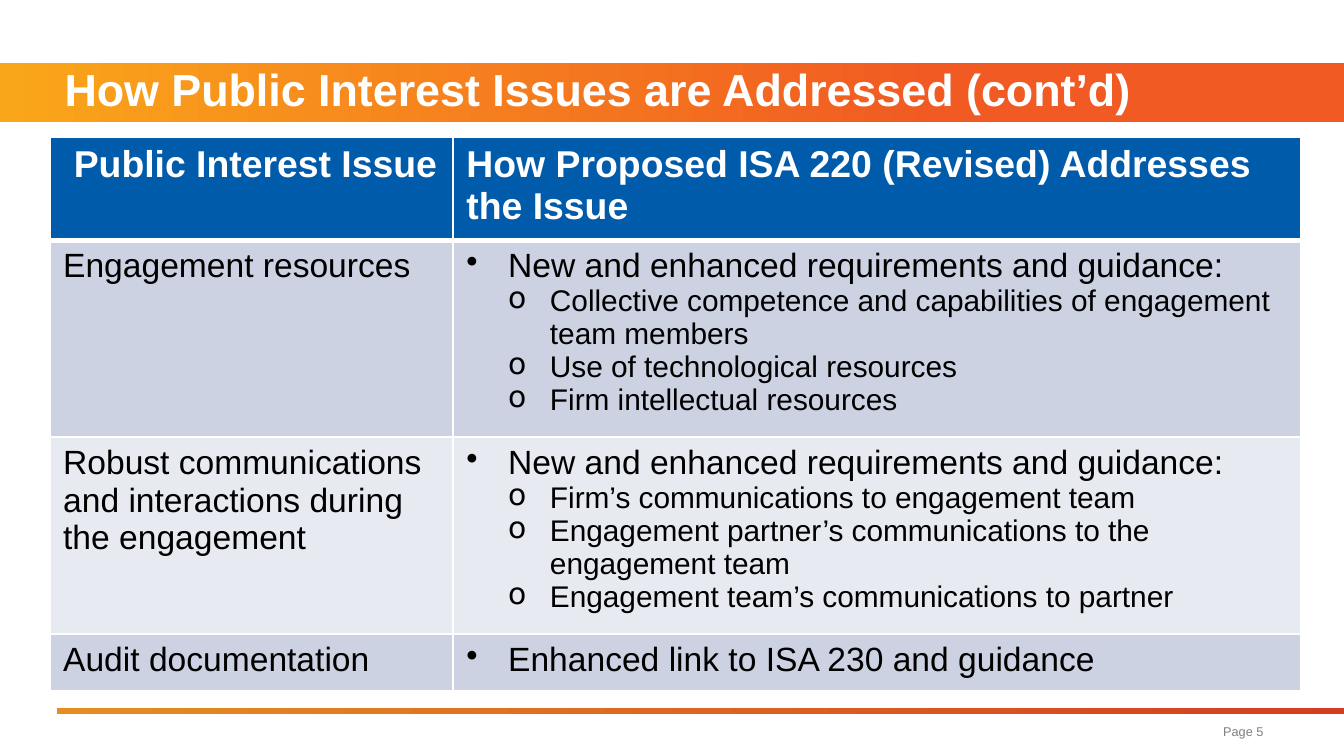
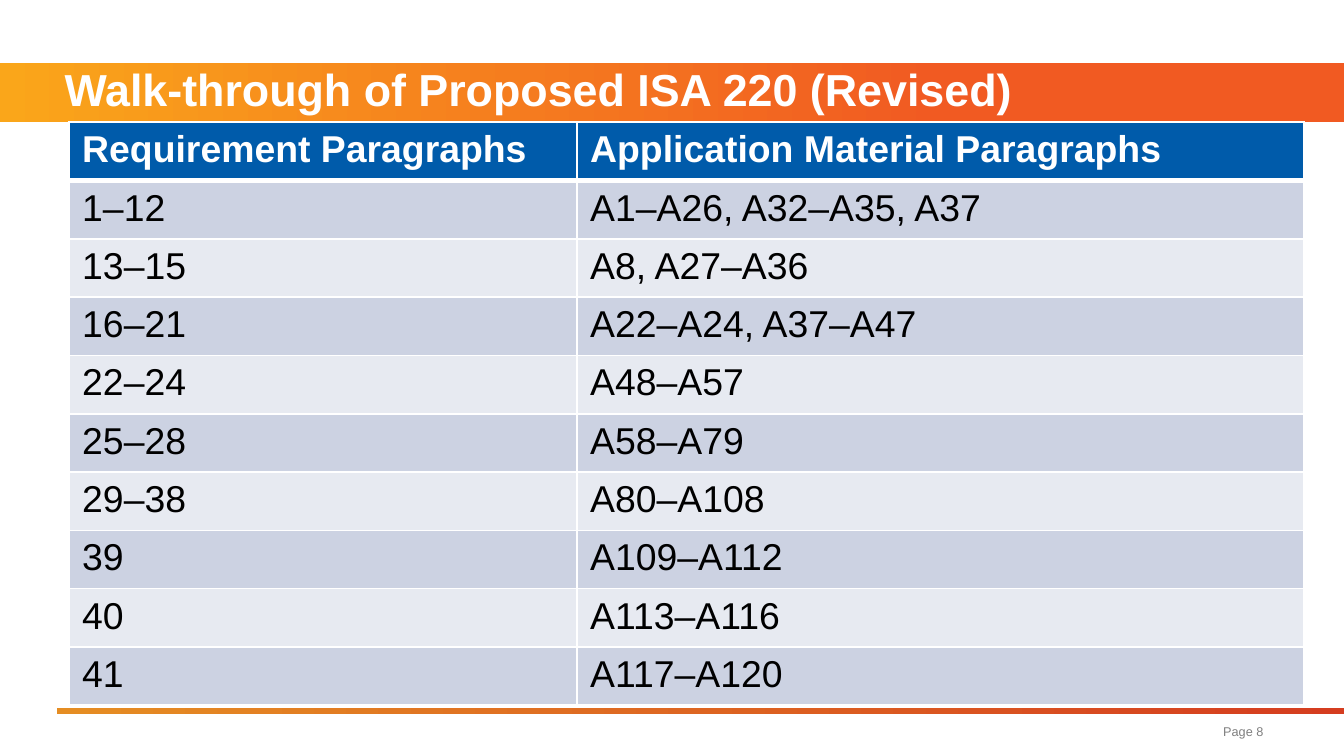
from lxml import etree
from pptx import Presentation
from pptx.dml.color import RGBColor
from pptx.enum.shapes import MSO_SHAPE
from pptx.enum.text import MSO_ANCHOR, PP_ALIGN
from pptx.oxml.ns import qn
from pptx.util import Cm, Pt

RECTANGLE = MSO_SHAPE.RECTANGLE
MIDDLE = MSO_ANCHOR.MIDDLE
LEFT, RIGHT = PP_ALIGN.LEFT, PP_ALIGN.RIGHT

FONT = "Arial"
WHITE = RGBColor(0xFF, 0xFF, 0xFF)
BLACK = RGBColor(0x00, 0x00, 0x00)
GRAY = RGBColor(0x80, 0x80, 0x80)
BLUE = RGBColor(0x00, 0x5B, 0xAA)
ROW_FILLS = (RGBColor(0xCC, 0xD2, 0xE2), RGBColor(0xE7, 0xEA, 0xF1))
BAND_STOPS = ((0, RGBColor(0xFA, 0xA6, 0x1A)), (0.7, RGBColor(0xF1, 0x5A, 0x22)))
RULE_STOPS = ((0, RGBColor(0xE5, 0x8D, 0x23)), (1, RGBColor(0xD5, 0x3D, 0x20)))

SLIDE_WIDTH, SLIDE_HEIGHT = 25.4, 14.29
BAND = (0, 1.19, SLIDE_WIDTH, 1.12)
RULE = (1.07, 13.39, SLIDE_WIDTH - 1.07, 0.1)
PAGE_BOX = (16.46, 13.56, 7.67, 0.64)
TITLE_INDENT = 0.97
BULLET_INDENT = 0.79
BULLETS = ("•", "o")
BULLET_SIZES = (18, 16)

GUIDANCE = "New and enhanced requirements and guidance:"

SLIDES = [
    {
        "title": "How Public Interest Issues are Addressed (cont’d)",
        "page": "Page 5",
        "position": (0.94, 2.59),
        "columns": (7.62, 16.02),
        "heights": (1.83, 3.46, 3.46, 1.07),
        "body_size": 18,
        "header_indents": (0.2, 0),
        "header": ("Public Interest Issue", "How Proposed ISA 220 (Revised) Addresses the Issue"),
        "rows": [
            ("Engagement resources", [
                (0, GUIDANCE),
                (1, "Collective competence and capabilities of engagement team members"),
                (1, "Use of technological resources"),
                (1, "Firm intellectual resources"),
            ]),
            ("Robust communications and interactions during the engagement", [
                (0, GUIDANCE),
                (1, "Firm’s communications to engagement team"),
                (1, "Engagement partner’s communications to the engagement team"),
                (1, "Engagement team’s communications to partner"),
            ]),
            ("Audit documentation", [(0, "Enhanced link to ISA 230 and guidance")]),
        ],
    },
    {
        "title": "Walk-through of Proposed ISA 220 (Revised)",
        "page": "Page 8",
        "position": (1.3, 2.31),
        "columns": (9.6, 13.74),
        "heights": (1.04,) * 10,
        "body_size": 20,
        "header_indents": (0, 0),
        "header": ("Requirement Paragraphs", "Application Material Paragraphs"),
        "rows": [
            ("1‒12", "A1‒A26, A32‒A35, A37"),
            ("13‒15", "A8, A27‒A36"),
            ("16‒21", "A22‒A24, A37‒A47"),
            ("22‒24", "A48‒A57"),
            ("25‒28", "A58‒A79"),
            ("29‒38", "A80‒A108"),
            ("39", "A109‒A112"),
            ("40", "A113‒A116"),
            ("41", "A117‒A120"),
        ],
    },
]


def lengths(values):
    return [Cm(value) for value in values]


def add_run(paragraph, text, size, color, bold=False):
    run = paragraph.add_run()
    run.text = text
    run.font.name = FONT
    run.font.size = Pt(size)
    run.font.bold = bold
    run.font.color.rgb = color


def set_indent(paragraph, left, first=0):
    properties = paragraph._p.get_or_add_pPr()
    properties.set("marL", str(Cm(left)))
    properties.set("indent", str(Cm(first)))
    return properties


def add_gradient_bar(slide, box, stops):
    shape = slide.shapes.add_shape(RECTANGLE, *lengths(box))
    shape.shadow.inherit = False
    shape.line.fill.background()
    shape.fill.gradient()
    shape.fill.gradient_angle = 0
    for stop, (position, color) in zip(shape.fill.gradient_stops, stops):
        stop.position = position
        stop.color.rgb = color


def add_text(slide, box, text, size, color, bold=False, align=LEFT):
    frame = slide.shapes.add_textbox(*lengths(box)).text_frame
    frame.word_wrap = True
    paragraph = frame.paragraphs[0]
    paragraph.alignment = align
    add_run(paragraph, text, size, color, bold)
    return frame


def add_frame(slide, title, page):
    add_gradient_bar(slide, BAND, BAND_STOPS)
    add_gradient_bar(slide, RULE, RULE_STOPS)
    frame = add_text(slide, BAND, title, 24, WHITE, True)
    frame.vertical_anchor = MIDDLE
    frame.paragraphs[0].line_spacing = Pt(24)
    set_indent(frame.paragraphs[0], TITLE_INDENT)
    add_text(slide, PAGE_BOX, page, 6.8, GRAY, align=RIGHT)


def style_cell(cell, color, top, bottom):
    cell.fill.solid()
    cell.fill.fore_color.rgb = color
    properties = cell._tc.get_or_add_tcPr()
    borders = (("a:lnL", 1), ("a:lnR", 1), ("a:lnT", top), ("a:lnB", bottom))
    for index, (tag, width) in enumerate(borders):
        line = etree.Element(qn(tag), w=str(Pt(width)))
        fill = etree.SubElement(line, qn("a:solidFill"))
        etree.SubElement(fill, qn("a:srgbClr"), val=str(WHITE))
        properties.insert(index, line)


def fill_bullets(frame, items):
    for index, (level, text) in enumerate(items):
        paragraph = frame.add_paragraph() if index else frame.paragraphs[0]
        properties = set_indent(paragraph, BULLET_INDENT * (level + 1), -BULLET_INDENT)
        etree.SubElement(properties, qn("a:buChar"), char=BULLETS[level])
        add_run(paragraph, text, BULLET_SIZES[level], BLACK)


def add_table(slide, content):
    columns, heights = content["columns"], content["heights"]
    box = (*content["position"], sum(columns), sum(heights))
    table = slide.shapes.add_table(len(heights), len(columns), *lengths(box)).table
    table.horz_banding = False
    for column, width in zip(table.columns, columns):
        column.width = Cm(width)
    for row, height in zip(table.rows, heights):
        row.height = Cm(height)
    for index, text in enumerate(content["header"]):
        cell = table.cell(0, index)
        style_cell(cell, BLUE, 1, 3)
        paragraph = cell.text_frame.paragraphs[0]
        set_indent(paragraph, content["header_indents"][index])
        add_run(paragraph, text, 20, WHITE, True)
    for row_index, values in enumerate(content["rows"], 1):
        for column_index, value in enumerate(values):
            cell = table.cell(row_index, column_index)
            style_cell(cell, ROW_FILLS[(row_index - 1) % 2], 3 if row_index == 1 else 1, 1)
            if isinstance(value, list):
                fill_bullets(cell.text_frame, value)
            else:
                add_run(cell.text_frame.paragraphs[0], value, content["body_size"], BLACK)


def main():
    presentation = Presentation()
    presentation.slide_width = Cm(SLIDE_WIDTH)
    presentation.slide_height = Cm(SLIDE_HEIGHT)
    for content in SLIDES:
        slide = presentation.slides.add_slide(presentation.slide_layouts[6])
        add_frame(slide, content["title"], content["page"])
        add_table(slide, content)
    presentation.save("out.pptx")


if __name__ == "__main__":
    main()
